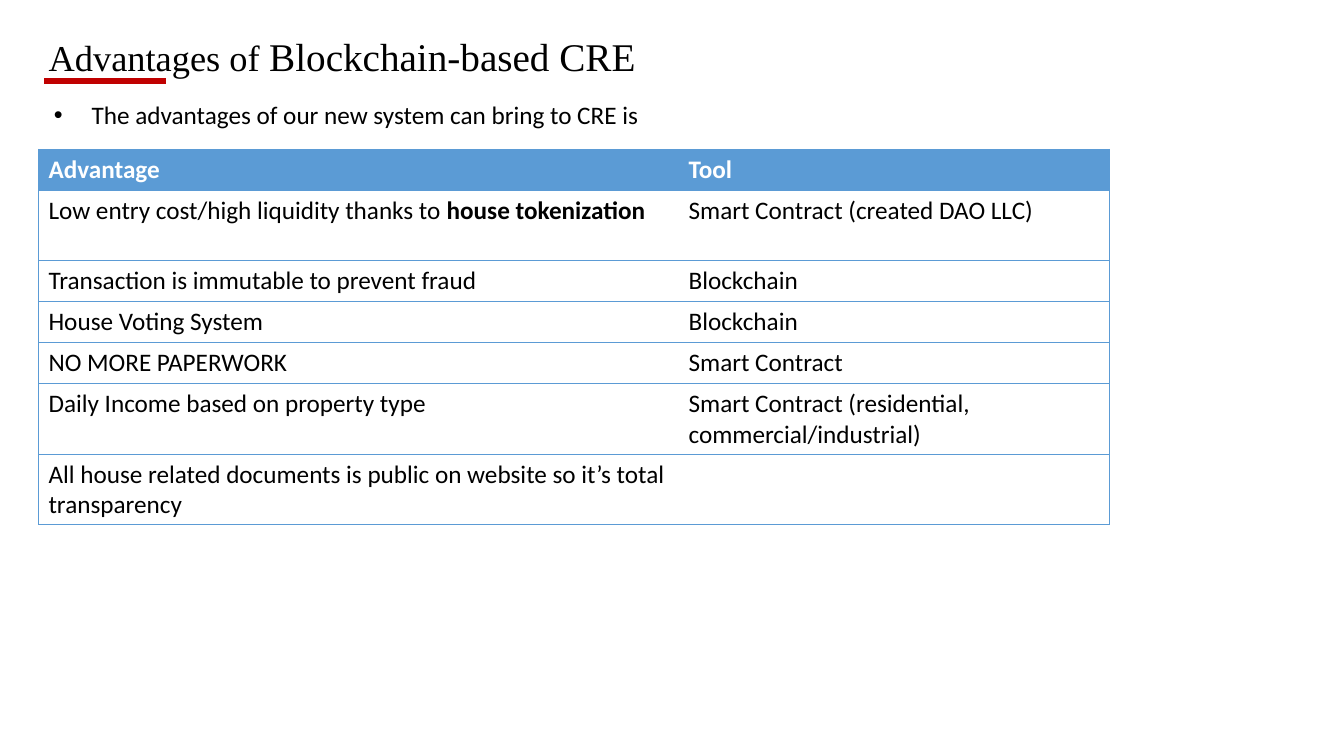
from lxml import etree
from pptx import Presentation
from pptx.dml.color import RGBColor
from pptx.enum.shapes import MSO_CONNECTOR
from pptx.enum.text import MSO_ANCHOR, MSO_AUTO_SIZE, PP_ALIGN
from pptx.oxml.ns import qn
from pptx.util import Cm, Pt

STRAIGHT = MSO_CONNECTOR.STRAIGHT
MIDDLE = MSO_ANCHOR.MIDDLE
TOP = MSO_ANCHOR.TOP
NO_AUTOSIZE = MSO_AUTO_SIZE.NONE
LEFT = PP_ALIGN.LEFT
TITLE_ONLY = 5

BLACK, WHITE, RED, BLUE = "000000", "FFFFFF", "C00000", "5B9BD5"
BODY_FONT, TITLE_FONT = "Calibri", "Times New Roman"

COLUMN_WIDTHS = (16.13, 10.85)
SINGLE_ROW, DOUBLE_ROW = 1.03, 1.78
ROWS = [
    (SINGLE_ROW, ["Advantage"], ["Tool"]),
    (DOUBLE_ROW, ["Low entry cost/high liquidity thanks to ", "house tokenization"],
     ["Smart Contract (created DAO LLC)"]),
    (SINGLE_ROW, ["Transaction is immutable to prevent fraud"], ["Blockchain"]),
    (SINGLE_ROW, ["House Voting System"], ["Blockchain"]),
    (SINGLE_ROW, ["NO MORE PAPERWORK"], ["Smart Contract"]),
    (DOUBLE_ROW, ["Daily Income based on property type"],
     ["Smart Contract (residential, commercial/industrial)"]),
    (DOUBLE_ROW, ["All house related documents is public on website so it’s total transparency"], []),
]


def color(hex_string):
    return RGBColor.from_string(hex_string)


def format_font(font, name, size, hex_string, bold=False):
    font.name = name
    font.size = Pt(size)
    font.bold = bold
    font.color.rgb = color(hex_string)


def add_title(slide):
    title = slide.shapes.title
    title.left, title.top, title.width, title.height = Cm(0.97), Cm(0.69), Cm(22.63), Cm(1.45)
    frame = title.text_frame
    frame.auto_size = NO_AUTOSIZE
    frame.vertical_anchor = MIDDLE
    paragraph = frame.paragraphs[0]
    paragraph.alignment = LEFT
    for text, size in (("Advantages of ", 26), ("Blockchain-based CRE", 28)):
        run = paragraph.add_run()
        run.text = text
        format_font(run.font, TITLE_FONT, size, BLACK)


def add_underline(slide):
    line = slide.shapes.add_connector(STRAIGHT, Cm(1.11), Cm(2.05), Cm(4.18), Cm(2.05))
    line.line.color.rgb = color(RED)
    line.line.width = Pt(4.5)
    etree.SubElement(line._element.spPr, qn("a:effectLst"))


def add_bullet(slide, text):
    box = slide.shapes.add_textbox(Cm(1.11), Cm(2.39), Cm(16.94), Cm(1.03))
    box.text_frame.word_wrap = True
    paragraph = box.text_frame.paragraphs[0]
    paragraph.text = text
    properties = paragraph._p.get_or_add_pPr()
    properties.set("marL", str(Cm(0.95)))
    properties.set("indent", str(Cm(-0.95)))
    etree.SubElement(properties, qn("a:buFont")).set("typeface", "Arial")
    etree.SubElement(properties, qn("a:buChar")).set("char", "•")
    format_font(paragraph.font, BODY_FONT, 18, BLACK)


def add_border(cell, side, visible):
    line = etree.SubElement(cell._tc.get_or_add_tcPr(), qn(f"a:ln{side}"))
    line.set("w", str(Pt(0.5)))
    if visible:
        fill = etree.SubElement(line, qn("a:solidFill"))
        etree.SubElement(fill, qn("a:srgbClr")).set("val", BLUE)
    else:
        etree.SubElement(line, qn("a:noFill"))


def fill_cell(cell, texts, is_header, is_first_column):
    for side, visible in (("L", is_first_column), ("R", not is_first_column), ("T", True), ("B", True)):
        add_border(cell, side, visible)
    if is_header:
        cell.fill.solid()
        cell.fill.fore_color.rgb = color(BLUE)
    else:
        cell.fill.background()
    cell.vertical_anchor = TOP
    paragraph = cell.text_frame.paragraphs[0]
    format_font(paragraph.font, BODY_FONT, 18, WHITE if is_header else BLACK, is_header)
    for index, text in enumerate(texts):
        run = paragraph.add_run()
        run.text = text
        if index:
            run.font.bold = True


def add_advantage_table(slide):
    height = sum(row[0] for row in ROWS)
    table = slide.shapes.add_table(len(ROWS), len(COLUMN_WIDTHS), Cm(0.97), Cm(3.76),
                                   Cm(sum(COLUMN_WIDTHS)), Cm(height)).table
    table.horz_banding = False
    for column, width in zip(table.columns, COLUMN_WIDTHS):
        column.width = Cm(width)
    for row_index, (row_height, *cells) in enumerate(ROWS):
        table.rows[row_index].height = Cm(row_height)
        for column_index, texts in enumerate(cells):
            fill_cell(table.cell(row_index, column_index), texts, row_index == 0, column_index == 0)


def main():
    presentation = Presentation()
    presentation.slide_width, presentation.slide_height = Cm(33.87), Cm(19.05)
    slide = presentation.slides.add_slide(presentation.slide_layouts[TITLE_ONLY])
    add_underline(slide)
    add_title(slide)
    add_bullet(slide, "The advantages of our new system can bring to CRE is")
    add_advantage_table(slide)
    presentation.save("out.pptx")


if __name__ == "__main__":
    main()
